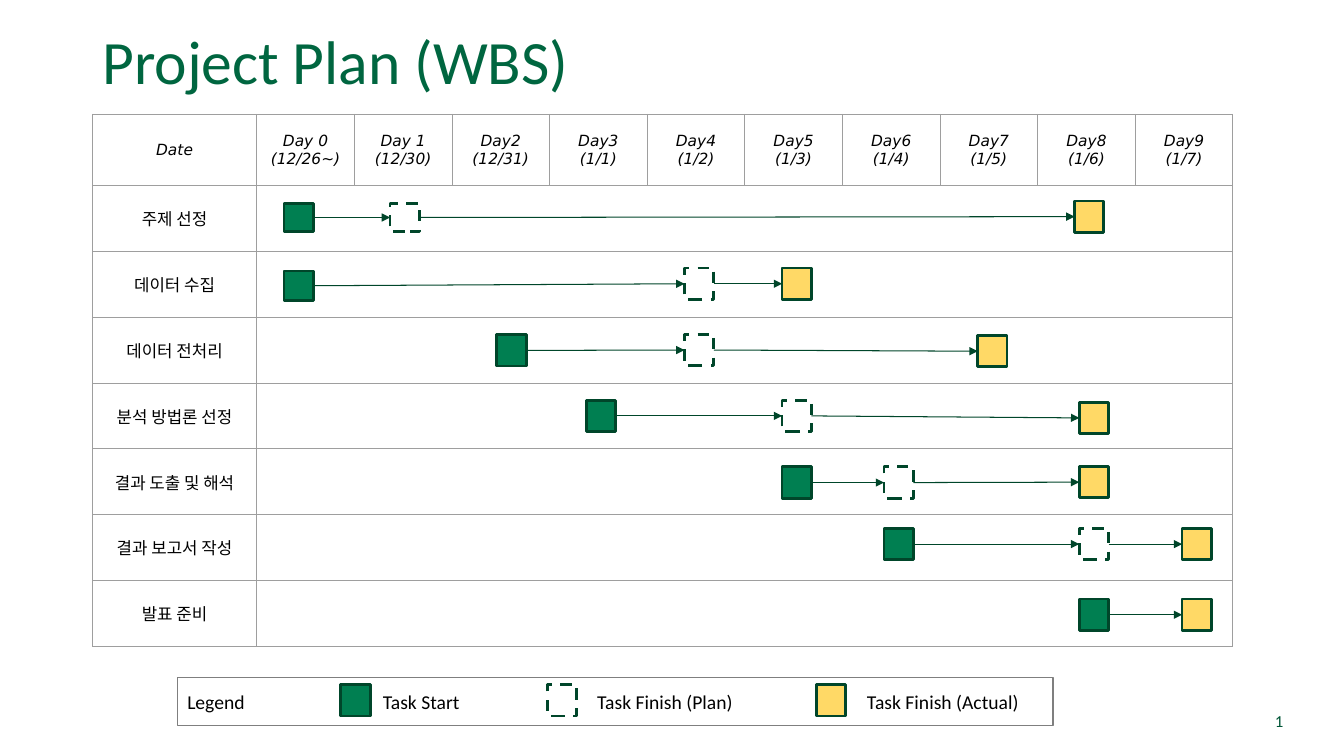
import pptx
import pptx.util
import pptx.dml.color
import pptx.enum.dml
import pptx.enum.shapes
import pptx.enum.text
import pptx.oxml
import pptx.oxml.ns
from pptx.util import Cm

COLOURS = {
    "title": "006640",
    "page": "005637",
    "text": "000000",
    "start": "007F51",
    "actual": "FFD966",
    "outline": "00462A",
    "grid": "9E9E9E",
    "legend": "7F7F7F",
}
ALIGN = pptx.enum.text.PP_ALIGN
MIDDLE = pptx.enum.text.MSO_ANCHOR.MIDDLE
RECTANGLE = pptx.enum.shapes.MSO_SHAPE.RECTANGLE
STRAIGHT = pptx.enum.shapes.MSO_CONNECTOR.STRAIGHT
RIGHT_SITE, LEFT_SITE = 3, 1
MARKER_WIDTH, MARKER_HEIGHT = 0.74, 0.79

DATES = [
    "Date", "Day 0\n(12/26~)", "Day 1\n(12/30)", "Day2\n(12/31)", "Day3\n(1/1)",
    "Day4\n(1/2)", "Day5\n(1/3)", "Day6\n(1/4)", "Day7\n(1/5)", "Day8\n(1/6)",
    "Day9\n(1/7)",
]
TASKS = {
    "주제 선정": [("start", 7.16, 5.48, 0.71), ("plan", 9.83, 5.48, 0.71), ("actual", 27.08, 5.46)],
    "데이터 수집": [("start", 7.16, 7.2, 0.74), ("plan", 17.25, 7.15), ("actual", 19.71, 7.15)],
    "데이터 전처리": [("start", 12.52, 8.83), ("plan", 17.25, 8.82), ("actual", 24.64, 8.85)],
    "분석 방법론 선정": [("start", 14.78, 10.48), ("plan", 19.71, 10.48), ("actual", 27.2, 10.53)],
    "결과 도출 및 해석": [("start", 19.71, 12.16), ("plan", 22.28, 12.16), ("actual", 27.2, 12.15)],
    "결과 보고서 작성": [("start", 22.28, 13.71), ("plan", 27.2, 13.71), ("actual", 29.79, 13.71)],
    "발표 준비": [("start", 27.2, 15.49), ("actual", 29.79, 15.49)],
}
LEGEND = [
    ("start", 8.59, "Task Start", 9.4, 3.58),
    ("plan", 13.79, "Task Finish (Plan)", 14.8, 5.94),
    ("actual", 20.57, "Task Finish (Actual)", 21.6, 6.81),
]


def rgb(name):
    return pptx.dml.color.RGBColor.from_string(COLOURS[name])


def write_text(frame, text, size, colour="text", font="Calibri", align=ALIGN.LEFT, italic=False):
    frame.text = text
    for paragraph in frame.paragraphs:
        paragraph.alignment = align
        paragraph.font.name = font
        paragraph.font.size = pptx.util.Pt(size)
        paragraph.font.italic = italic
        paragraph.font.color.rgb = rgb(colour)


def add_label(slide, left, top, width, height, text, size, **style):
    shape = slide.shapes.add_textbox(Cm(left), Cm(top), Cm(width), Cm(height))
    shape.text_frame.word_wrap = True
    shape.text_frame.vertical_anchor = MIDDLE
    write_text(shape.text_frame, text, size, **style)
    return shape


def add_box(slide, left, top, width, height, line, line_width, fill=None):
    shape = slide.shapes.add_shape(RECTANGLE, Cm(left), Cm(top), Cm(width), Cm(height))
    shape.shadow.inherit = False
    if fill:
        shape.fill.solid()
        shape.fill.fore_color.rgb = rgb(fill)
    else:
        shape.fill.background()
    shape.line.color.rgb = rgb(line)
    shape.line.width = pptx.util.Pt(line_width)
    return shape


def add_marker(slide, kind, left, middle, height=MARKER_HEIGHT):
    fill = None if kind == "plan" else kind
    shape = add_box(slide, left, middle - height / 2, MARKER_WIDTH, height, "outline", 2, fill)
    if kind == "plan":
        shape.line.dash_style = pptx.enum.dml.MSO_LINE.DASH
    return shape


def add_arrow(slide, source, target):
    connector = slide.shapes.add_connector(STRAIGHT, 0, 0, 0, 0)
    connector.begin_connect(source, RIGHT_SITE)
    connector.end_connect(target, LEFT_SITE)
    connector.line.color.rgb = rgb("outline")
    connector.line.width = pptx.util.Pt(0.75)
    tail = pptx.oxml.parse_xml(f'<a:tailEnd {pptx.oxml.ns.nsdecls("a")} type="triangle"/>')
    connector.line._get_or_add_ln().append(tail)
    effects = pptx.oxml.parse_xml(f'<a:effectLst {pptx.oxml.ns.nsdecls("a")}/>')
    connector._element.spPr.append(effects)


def format_cell(cell):
    cell.fill.background()
    cell.vertical_anchor = MIDDLE
    cell.margin_left = cell.margin_right = cell.margin_top = cell.margin_bottom = Cm(0.25)
    properties = cell._tc.get_or_add_tcPr()
    for index, side in enumerate("LRTB"):
        border = pptx.oxml.parse_xml(
            f'<a:ln{side} {pptx.oxml.ns.nsdecls("a")} w="9525"><a:solidFill>'
            f'<a:srgbClr val="{COLOURS["grid"]}"/></a:solidFill></a:ln{side}>'
        )
        properties.insert(index, border)


def add_schedule(slide):
    widths = [4.14] + [2.46] * (len(DATES) - 1)
    heights = [1.79] + [1.66] * len(TASKS)
    frame = slide.shapes.add_table(
        len(heights), len(widths), Cm(2.33), Cm(2.88), Cm(sum(widths)), Cm(sum(heights))
    )
    table = frame.table
    table.first_row = table.horz_banding = False
    for column, width in zip(table.columns, widths):
        column.width = Cm(width)
    for row, height in zip(table.rows, heights):
        row.height = Cm(height)
    for cell in table.iter_cells():
        format_cell(cell)
    for column, date in enumerate(DATES):
        write_text(table.cell(0, column).text_frame, date, 11,
                   font="DejaVu Sans", align=ALIGN.CENTER, italic=True)
    for row, task in enumerate(TASKS, start=1):
        write_text(table.cell(row, 0).text_frame, task, 12,
                   font="DejaVu Sans", align=ALIGN.CENTER)
        table.cell(row, 1).merge(table.cell(row, len(DATES) - 1))


def add_task_bars(slide):
    for milestones in TASKS.values():
        markers = [add_marker(slide, *milestone) for milestone in milestones]
        for source, target in zip(markers, markers[1:]):
            add_arrow(slide, source, target)


def add_legend(slide):
    frame = add_box(slide, 4.47, 17.07, 22.07, 1.22, "legend", 1)
    frame.text_frame.vertical_anchor = MIDDLE
    write_text(frame.text_frame, "Legend", 14)
    for kind, marker_left, text, text_left, width in LEGEND:
        add_marker(slide, kind, marker_left, 17.65)
        add_label(slide, text_left, 17.25, width, 0.86, text, 14)


def main():
    presentation = pptx.Presentation()
    presentation.slide_width = Cm(33.87)
    presentation.slide_height = Cm(19.05)
    slide = presentation.slides.add_slide(presentation.slide_layouts[6])
    title = add_label(slide, 2.33, 0.38, 29.21, 2.51, "Project Plan (WBS)", 44, colour="title")
    title.text_frame.paragraphs[0].line_spacing = 0.9
    add_label(slide, 24.97, 17.65, 7.62, 1.02, "1", 12, colour="page", align=ALIGN.RIGHT)
    add_schedule(slide)
    add_task_bars(slide)
    add_legend(slide)
    presentation.save("out.pptx")


if __name__ == "__main__":
    main()
